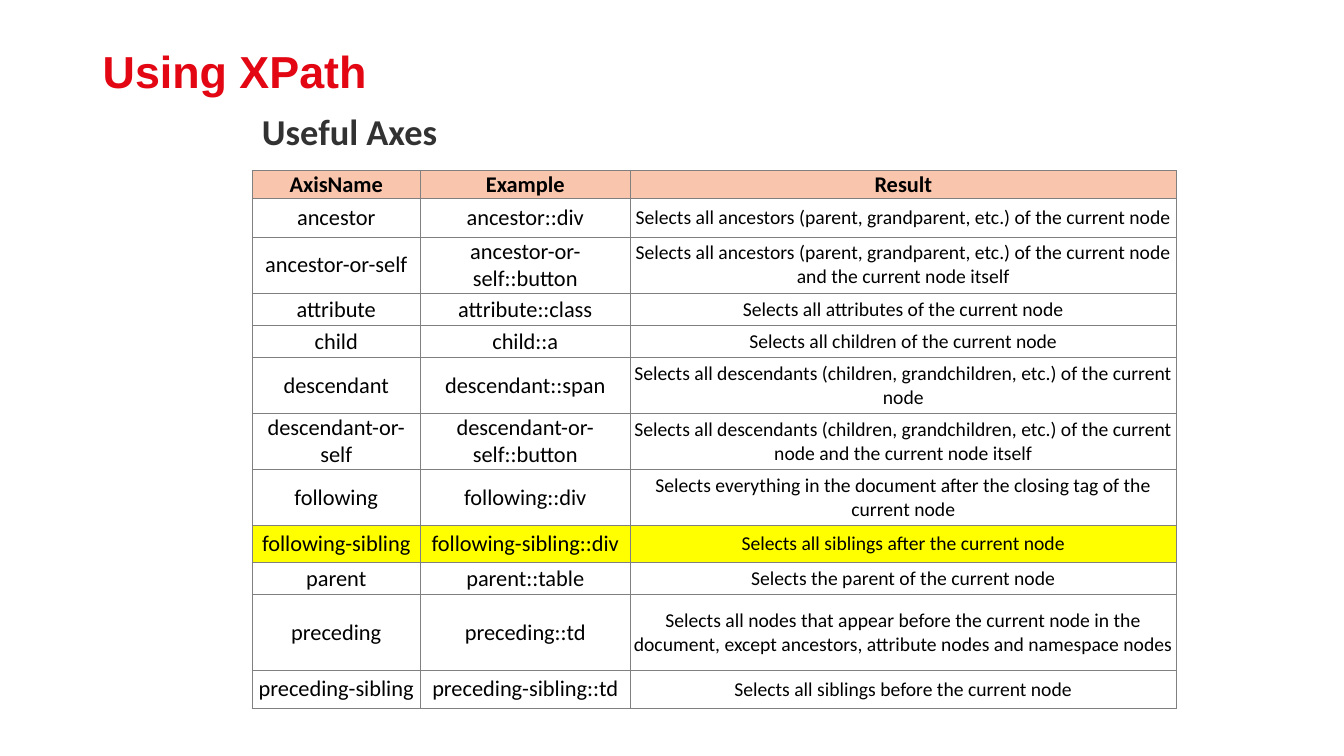
from lxml.etree import SubElement
from pptx import Presentation
from pptx.dml.color import RGBColor
from pptx.enum.text import MSO_ANCHOR as Anchor, PP_ALIGN as Align
from pptx.oxml.ns import qn
from pptx.util import Inches, Pt

RED = RGBColor(0xE3, 0x06, 0x13)
DARK = RGBColor(0x32, 0x32, 0x32)
BLACK = RGBColor(0, 0, 0)
PEACH = RGBColor(0xFA, 0xC5, 0xAD)
YELLOW = RGBColor(0xFF, 0xFF, 0)
GREY = RGBColor(0x80, 0x80, 0x80)

TITLE = "Using XPath"
SUBTITLE = "Useful Axes"
HEADER = ("AxisName", "Example", "Result")
AXES = [
    ("ancestor", "div", 0.38,
     "Selects all ancestors (parent, grandparent, etc.) of the current node"),
    ("ancestor-or-self", "button", 0.56,
     "Selects all ancestors (parent, grandparent, etc.) of the current node and the current node itself"),
    ("attribute", "class", 0.32, "Selects all attributes of the current node"),
    ("child", "a", 0.32, "Selects all children of the current node"),
    ("descendant", "span", 0.55,
     "Selects all descendants (children, grandchildren, etc.) of the current node"),
    ("descendant-or-self", "button", 0.56,
     "Selects all descendants (children, grandchildren, etc.) of the current node and the current node itself"),
    ("following", "div", 0.55,
     "Selects everything in the document after the closing tag of the current node"),
    ("following-sibling", "div", 0.37, "Selects all siblings after the current node"),
    ("parent", "table", 0.32, "Selects the parent of the current node"),
    ("preceding", "td", 0.75,
     "Selects all nodes that appear before the current node in the document, "
     "except ancestors, attribute nodes and namespace nodes"),
    ("preceding-sibling", "td", 0.38, "Selects all siblings before the current node"),
]
HIGHLIGHTED_AXIS = "following-sibling"
HEADER_HEIGHT = 0.28
COLUMN_WIDTHS = (1.67, 2.08, 5.42)
TABLE_LEFT, TABLE_TOP = 2.5, 1.69


def write_text(frame, text, size=16, color=BLACK, bold=False, font="Calibri",
               align=Align.LEFT, spacing=1.0):
    frame.word_wrap = True
    paragraph = frame.paragraphs[0]
    paragraph.alignment = align
    paragraph.line_spacing = spacing
    run = paragraph.add_run()
    run.text = text
    run.font.name = font
    run.font.size = Pt(size)
    run.font.bold = bold
    run.font.color.rgb = color


def add_borders(cell):
    properties = cell._tc.get_or_add_tcPr()
    for side in ("a:lnL", "a:lnR", "a:lnT", "a:lnB"):
        line = SubElement(properties, qn(side), w=str(Pt(0.5)))
        fill = SubElement(line, qn("a:solidFill"))
        SubElement(fill, qn("a:srgbClr"), val=str(GREY))


def format_cell(cell, text, fill=None, padding=0, **text_format):
    add_borders(cell)
    if fill is None:
        cell.fill.background()
    else:
        cell.fill.solid()
        cell.fill.fore_color.rgb = fill
    cell.margin_left = cell.margin_right = 0
    cell.margin_top = cell.margin_bottom = Inches(padding)
    cell.vertical_anchor = Anchor.MIDDLE
    write_text(cell.text_frame, text, align=Align.CENTER, **text_format)


def add_axes_table(slide):
    heights = [HEADER_HEIGHT] + [height for _, _, height, _ in AXES]
    frame = slide.shapes.add_table(
        len(heights), len(COLUMN_WIDTHS), Inches(TABLE_LEFT), Inches(TABLE_TOP),
        Inches(sum(COLUMN_WIDTHS)), Inches(sum(heights)))
    table = frame.table
    table.horz_banding = False
    table.first_row = False
    for column, width in zip(table.columns, COLUMN_WIDTHS):
        column.width = Inches(width)
    for row, height in zip(table.rows, heights):
        row.height = Inches(height)
    for column, label in enumerate(HEADER):
        format_cell(table.cell(0, column), label, fill=PEACH, bold=True)
    for row, (axis, node, _, result) in enumerate(AXES, start=1):
        fill = YELLOW if axis == HIGHLIGHTED_AXIS else None
        format_cell(table.cell(row, 0), axis, fill=fill)
        format_cell(table.cell(row, 1), f"{axis}::{node}", fill=fill)
        format_cell(table.cell(row, 2), result, fill=fill, padding=0.04, size=14)


def main():
    presentation = Presentation()
    presentation.slide_width = Inches(13.33)
    presentation.slide_height = Inches(7.5)
    slide = presentation.slides.add_slide(presentation.slide_layouts[6])

    title = slide.shapes.add_textbox(Inches(0.92), Inches(0.44), Inches(11.5), Inches(0.59))
    title.text_frame.vertical_anchor = Anchor.MIDDLE
    write_text(title.text_frame, TITLE, size=32, color=RED, bold=True, font="Arial", spacing=0.9)

    subtitle = slide.shapes.add_textbox(Inches(2.5), Inches(1.03), Inches(9), Inches(0.6))
    write_text(subtitle.text_frame, SUBTITLE, size=26, color=DARK, bold=True)

    add_axes_table(slide)
    presentation.save("out.pptx")


if __name__ == "__main__":
    main()
